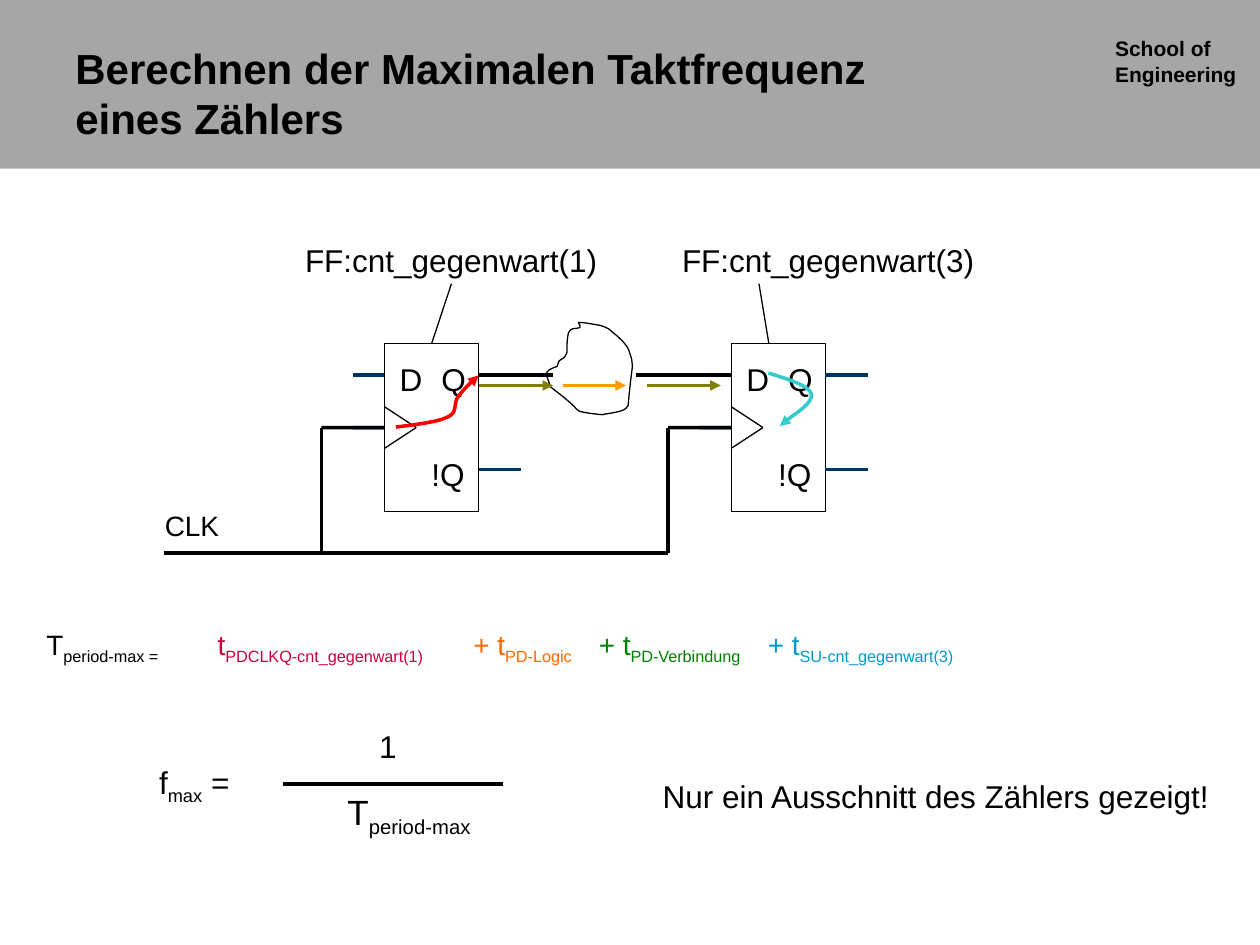
from lxml.etree import SubElement
from pptx import Presentation
from pptx.dml.color import RGBColor
from pptx.enum.shapes import MSO_CONNECTOR as Line, MSO_SHAPE as Shape
from pptx.enum.text import MSO_ANCHOR as Anchor, MSO_AUTO_SIZE as AutoSize, PP_ALIGN as Align
from pptx.oxml.ns import qn
from pptx.util import Cm, Pt

BLACK, NAVY, OLIVE = "000000", "003366", "808000"
THIN, THICK = 0.75, 2

TITLE = "Berechnen der Maximalen Taktfrequenz eines Zählers"
SCHOOL = "School of\nEngineering"

FF_TOP, FF_WIDTH, FF_HEIGHT = 6.93, 1.9, 3.38
FF_LEFTS = [7.75, 14.74]
PINS = [("Q", 0.86, 0.2, 1.07), ("D", 0, 0.2, 1.07), ("!Q", 0.43, 2.11, 1.7)]
DATA_Y, CLOCK_Y, INVERTED_Y = FF_TOP + 0.63, FF_TOP + FF_HEIGHT / 2, FF_TOP + 2.54
STUB_IN, STUB_OUT, CLOCK_RUN = 0.64, 0.86, 1.27
NOTCH_HALF, NOTCH_DEPTH = 0.42, 0.64
BUS_Y, DELAY_Y = 11.15, 7.77

DATA_WIRES = [(14.74, 12.83), (11.15, 9.65)]
BUS_PARTS = [(10.52, 3.3), (12.19, 13.46), (10.08, 12.62)]
DELAYS = [(11.35, 12.62, "FF9900"), (13.05, 14.53, OLIVE), (9.65, 11.15, OLIVE)]

LOGIC_CLOUD = [
    (11.66, 6.5), (11.79, 6.5), (11.91, 6.53), (12.04, 6.55),
    (12.12, 6.55), (12.27, 6.63), (12.27, 6.63),
    (12.42, 6.76), (12.57, 6.86), (12.67, 7.04),
    (12.8, 7.44), (12.75, 7.19), (12.67, 8.1),
    (12.67, 8.15), (12.67, 8.2), (12.62, 8.23),
    (12.55, 8.31), (12.27, 8.33), (12.14, 8.36),
    (12.14, 8.36), (11.76, 8.33), (11.66, 8.28),
    (11.63, 8.26), (11.61, 8.23), (11.58, 8.2),
    (11.43, 8.05), (11.25, 7.92), (11.1, 7.8),
    (11.02, 7.54), (10.92, 7.49), (11.23, 7.39),
    (11.3, 7.14), (11.33, 7.34), (11.43, 7.11),
    (11.43, 6.96), (11.43, 6.83), (11.46, 6.71),
    (11.53, 6.53), (11.79, 6.71), (11.66, 6.5),
]
CLOCK_TO_Q = [
    (7.98, 8.61), (8.38, 8.56), (8.81, 8.51), (9.02, 8.41),
    (9.25, 8.31), (9.12, 8.13), (9.25, 7.98),
    (9.35, 7.85), (9.5, 7.7), (9.65, 7.57),
]
SETUP = [
    (15.49, 7.52), (15.9, 7.65), (16.31, 7.77), (16.36, 7.95),
    (16.38, 8.13), (15.82, 8.48), (15.72, 8.59),
]

PERIOD_TERMS = [
    (3.51, 5.99, "t", "PDCLKQ-cnt_gegenwart(1) ", "CE003C"),
    (8.89, 3.38, "+ t", "PD-Logic ", "FF6600"),
    (14.5, 5.79, "+ t", "SU-cnt_gegenwart(3) ", "0099CC"),
    (11.3, 4.24, " + t", "PD-Verbindung", "008000"),
    (0.51, 3.2, "T", "period-max = ", BLACK),
]
FREQUENCY = [
    (2.95, 15.26, 2.11, 1.12, [("f", 0), ("max", -25), (" = ", 0)], 18, False),
    (6.12, 15.81, 4.45, 1.22, [("T", 0), ("period-max", -25), (" ", 0)], 20, True),
    (7.39, 14.53, 0.86, 1.02, "1", 18, False),
]
LABELS = [
    (5.9, 4.73, 6.4, "FF:cnt_gegenwart(1)"),
    (13.5, 4.73, 6.4, "FF:cnt_gegenwart(3)"),
    (13.11, 15.53, 11.56, "Nur ein Ausschnitt des Zählers gezeigt!"),
]

prs = Presentation()
prs.slide_width, prs.slide_height = Cm(25.4), Cm(19.05)
slide = prs.slides.add_slide(prs.slide_layouts[6])
shapes = slide.shapes


def rgb(color):
    return RGBColor.from_string(color)


def add_text(text, left, top, width, height, size=18, color=BLACK, bold=False,
             align=Align.LEFT, wrap=True, anchor=Anchor.TOP, fit=True):
    box = shapes.add_textbox(Cm(left), Cm(top), Cm(width), Cm(height))
    frame = box.text_frame
    frame.word_wrap = wrap
    frame.auto_size = AutoSize.SHAPE_TO_FIT_TEXT if fit else AutoSize.NONE
    frame.vertical_anchor = anchor
    paragraph = frame.paragraphs[0]
    paragraph.alignment = align
    for words, baseline in [(text, 0)] if isinstance(text, str) else text:
        for index, part in enumerate(words.split("\n")):
            if index:
                paragraph.add_line_break()
            run = paragraph.add_run()
            run.text = part
            run.font.name, run.font.size, run.font.bold = "Arial", Pt(size), bold
            run.font.color.rgb = rgb(color)
            if baseline:
                run._r.get_or_add_rPr().set("baseline", str(baseline * 1000))


def set_line(shape, color, weight, arrow=False):
    shape.line.color.rgb = rgb(color)
    shape.line.width = Pt(weight)
    if arrow:
        SubElement(shape.get_or_add_ln() if hasattr(shape, "get_or_add_ln")
                   else shape.line._get_or_add_ln(), qn("a:tailEnd")).set("type", "triangle")


def add_line(x1, y1, x2, y2, color=BLACK, weight=THICK, arrow=False):
    line = shapes.add_connector(Line.STRAIGHT, Cm(x1), Cm(y1), Cm(x2), Cm(y2))
    set_line(line, color, weight, arrow)
    SubElement(line._element.spPr, qn("a:effectLst"))
    return line


def add_box(left, top, width, height):
    box = shapes.add_shape(Shape.RECTANGLE, Cm(left), Cm(top), Cm(width), Cm(height))
    box.shadow.inherit = False
    return box


def add_curve(points, color, weight, closed=False):
    start, *controls = [(Cm(x), Cm(y)) for x, y in points]
    builder = shapes.build_freeform(*start)
    builder.add_line_segments(controls, close=closed)
    curve = builder.convert_to_shape()
    segments = list(curve._element.iter(qn("a:lnTo")))
    for first, second, third in zip(segments[::3], segments[1::3], segments[2::3]):
        first.tag = qn("a:cubicBezTo")
        for segment in (second, third):
            first.append(segment[0])
            segment.getparent().remove(segment)
    curve.fill.background()
    curve.shadow.inherit = False
    set_line(curve, color, weight, arrow=not closed)


def add_flip_flop(left):
    right = left + FF_WIDTH
    body = add_box(left, FF_TOP, FF_WIDTH, FF_HEIGHT)
    body.fill.background()
    set_line(body, BLACK, THIN)
    for pin, dx, dy, width in PINS:
        add_text(pin, left + dx, FF_TOP + dy, width, 1.02, align=Align.CENTER)
    for y in (INVERTED_Y, DATA_Y):
        add_line(right, y, right + STUB_OUT, y, NAVY)
    add_line(left, CLOCK_Y - NOTCH_HALF, left + NOTCH_DEPTH, CLOCK_Y, weight=THIN)
    add_line(left + NOTCH_DEPTH, CLOCK_Y, left, CLOCK_Y + NOTCH_HALF, weight=THIN)
    add_line(left - STUB_IN, CLOCK_Y, left, CLOCK_Y, NAVY).end_connect(body, 1)
    add_line(left - STUB_IN, DATA_Y, left, DATA_Y, NAVY)
    return body


header = add_box(0, 0, 25.4, 3.4)
header.fill.solid()
header.fill.fore_color.rgb = rgb("A6A6A6")
header.line.fill.background()
add_text(SCHOOL, 22.23, 0.6, 3.17, 1.27, size=12, bold=True)

flip_flops = [add_flip_flop(left) for left in FF_LEFTS]
add_curve(LOGIC_CLOUD, BLACK, THIN, closed=True)
for start, end in DATA_WIRES:
    add_line(start, DATA_Y, end, DATA_Y)
add_text("CLK", 2.5, 10.13, 2.74, 0.94, size=16, align=Align.CENTER)
for left, flip_flop in zip(FF_LEFTS, flip_flops):
    corner = left - CLOCK_RUN
    add_line(left, CLOCK_Y, corner, CLOCK_Y).begin_connect(flip_flop, 1)
    add_line(corner, CLOCK_Y, corner, BUS_Y)
for start, end in BUS_PARTS:
    add_line(start, BUS_Y, end, BUS_Y)

add_curve(CLOCK_TO_Q, "FF0000", THICK)
add_curve(SETUP, "33CCCC", THICK)
for start, end, color in DELAYS:
    add_line(start, DELAY_Y, end, DELAY_Y, color, arrow=True)

for left, width, symbol, index, color in PERIOD_TERMS:
    add_text([(symbol, 0), (index, -25)], left, 12.52, width, 1.04, size=16, color=color,
             align=Align.CENTER)
for left, top, width, height, text, size, wrap in FREQUENCY:
    add_text(text, left, top, width, height, size=size, align=Align.CENTER, wrap=wrap)
add_line(5.7, 15.8, 10.14, 15.8)

for left, top, width, label in LABELS:
    add_text(label, left, top, width, 1.02, wrap=False)
add_line(9.1, 5.72, 8.7, FF_TOP, weight=THIN).end_connect(flip_flops[0], 0)
add_line(15.3, 5.72, 15.5, FF_TOP, weight=THIN)
add_text(TITLE, 1.27, 0.76, 17.37, 2.21, size=24, bold=True, anchor=Anchor.MIDDLE, fit=False)

prs.save("out.pptx")
